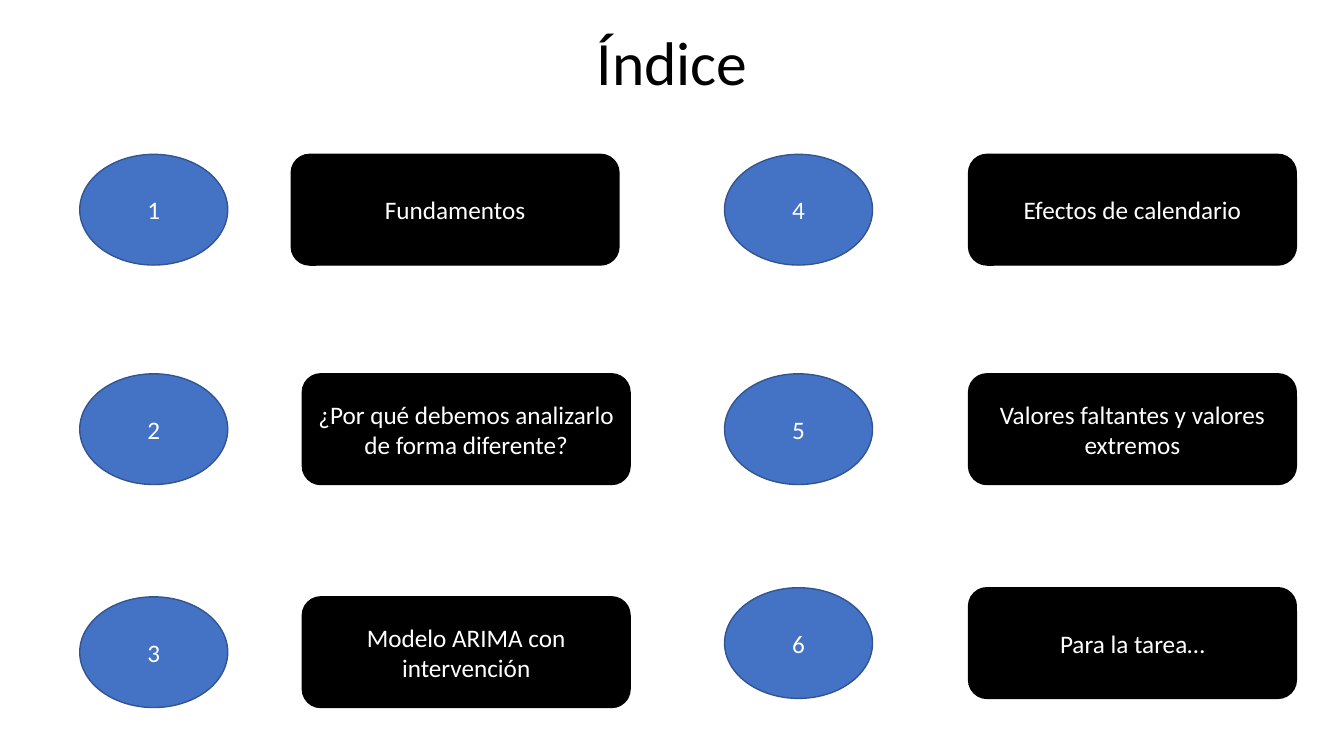
from pptx import Presentation
from pptx.dml.color import RGBColor
from pptx.enum.shapes import MSO_SHAPE
from pptx.enum.text import MSO_ANCHOR, PP_ALIGN
from pptx.util import Cm, Pt

NUMBER_LEFT = (2.01, 18.26)
NUMBER_WIDTH, LABEL_WIDTH, ENTRY_HEIGHT = 3.73, 8.26, 2.79

# Each entry: label, left of the label, top of the row (cm)
COLUMNS = (
    (("Fundamentos", 7.34, 3.89),
     ("¿Por qué debemos analizarlo de forma diferente?", 7.62, 9.42),
     ("Modelo ARIMA con intervención", 7.62, 15.04)),
    (("Efectos de calendario", 24.41, 3.89),
     ("Valores faltantes y valores extremos", 24.41, 9.42),
     ("Para la tarea…", 24.41, 14.81)),
)


def color(hex_code):
    return RGBColor.from_string(hex_code)


def write(frame, text, size, hex_code):
    frame.word_wrap = True
    frame.vertical_anchor = MSO_ANCHOR.MIDDLE
    paragraph = frame.paragraphs[0]
    paragraph.alignment = PP_ALIGN.CENTER
    run = paragraph.add_run()
    run.text = text
    run.font.name = "Calibri"
    run.font.size = Pt(size)
    run.font.color.rgb = color(hex_code)


def add_title(slide, text):
    title = slide.shapes.add_textbox(Cm(1.7), Cm(0.15), Cm(30.48), Cm(2.77))
    write(title.text_frame, text, 44, "000000")


def add_block(slide, preset, left, top, width, text, fill, line):
    block = slide.shapes.add_shape(preset, Cm(left), Cm(top), Cm(width), Cm(ENTRY_HEIGHT))
    block.shadow.inherit = False
    block.fill.solid()
    block.fill.fore_color.rgb = color(fill)
    block.line.color.rgb = color(line)
    block.line.width = Pt(1)
    write(block.text_frame, text, 18, "FFFFFF")


def add_entry(slide, number, number_left, label, label_left, top):
    add_block(slide, MSO_SHAPE.OVAL, number_left, top, NUMBER_WIDTH,
              str(number), "4472C4", "325491")
    add_block(slide, MSO_SHAPE.ROUNDED_RECTANGLE, label_left, top, LABEL_WIDTH,
              label, "000000", "000000")


def main():
    presentation = Presentation()
    presentation.slide_width = Cm(33.87)
    presentation.slide_height = Cm(19.05)
    slide = presentation.slides.add_slide(presentation.slide_layouts[6])

    add_title(slide, "Índice")

    # Numbered entries, down each column
    number = 1
    for number_left, entries in zip(NUMBER_LEFT, COLUMNS):
        for label, label_left, top in entries:
            add_entry(slide, number, number_left, label, label_left, top)
            number += 1

    presentation.save("out.pptx")


if __name__ == "__main__":
    main()
